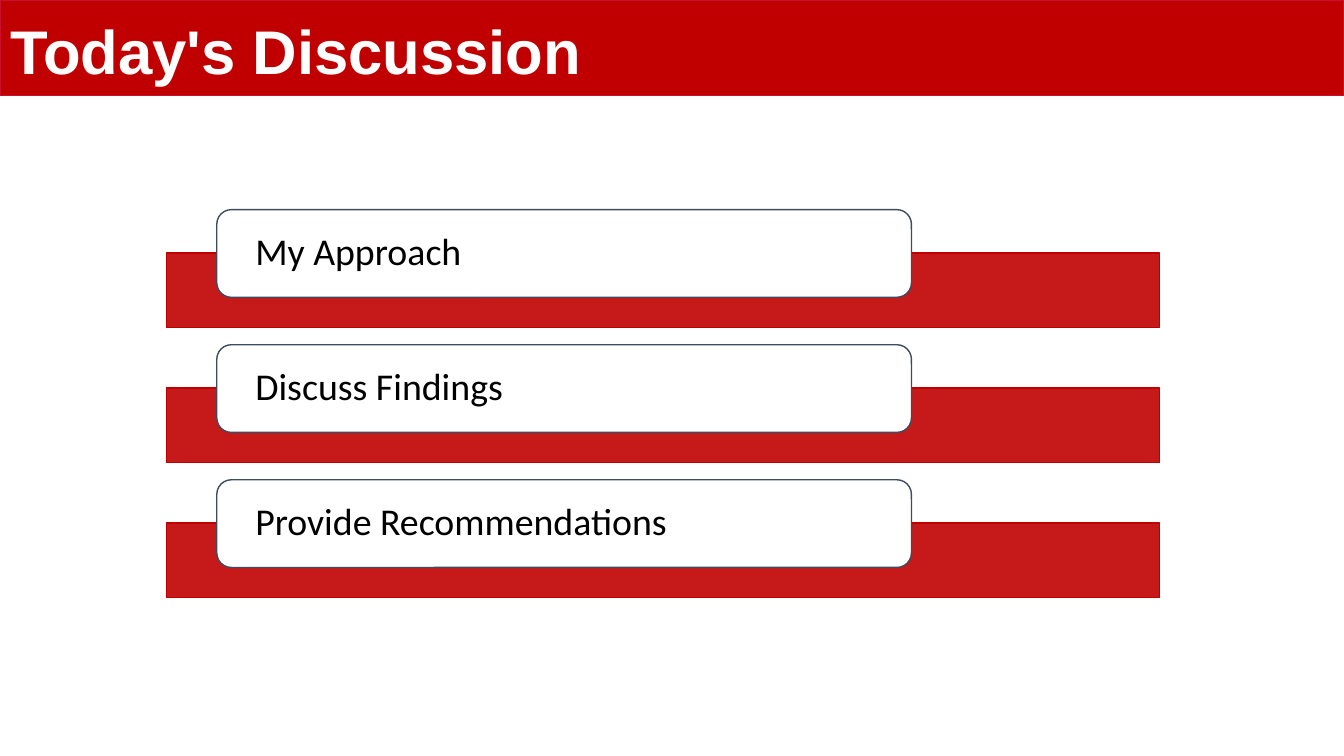
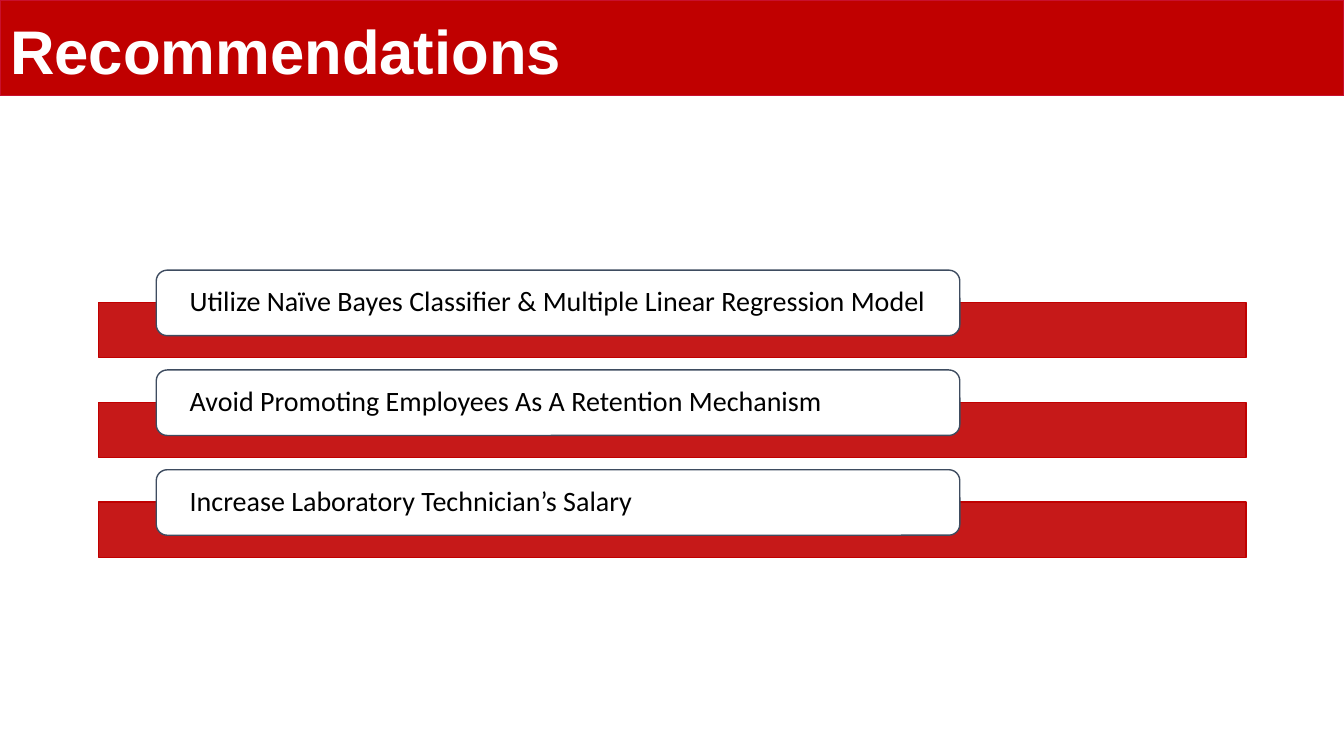
from dataclasses import dataclass

from lxml.etree import SubElement
from pptx import Presentation
from pptx.dml.color import RGBColor
from pptx.enum.shapes import MSO_SHAPE
from pptx.enum.text import MSO_ANCHOR, MSO_AUTO_SIZE, PP_ALIGN
from pptx.oxml.ns import qn
from pptx.util import Inches, Pt

SLIDE_WIDTH, SLIDE_HEIGHT = 13.33, 7.5
TITLE_ONLY = 5


@dataclass(frozen=True)
class Theme:
    red: RGBColor = RGBColor(0xC0, 0x00, 0x00)
    band_edge: RGBColor = RGBColor(0xC8, 0x10, 0x2E)
    slate: RGBColor = RGBColor(0x3E, 0x4C, 0x60)
    white: RGBColor = RGBColor(0xFF, 0xFF, 0xFF)
    black: RGBColor = RGBColor(0x00, 0x00, 0x00)
    heading_font: str = "Arial"
    body_font: str = "Calibri"
    title_size: int = 44
    line_width: int = 1
    track_opacity: int = 90


THEME = Theme()


@dataclass(frozen=True)
class AgendaGrid:
    """Measures, in inches, of a column of cards lying over wide tracks."""
    track_left: float
    track_width: float
    track_height: float
    track_drop: float
    card_left: float
    card_top: float
    card_width: float
    card_height: float
    pitch: float
    text_inset: float
    text_size: int


SLIDES = [
    ("Today's Discussion",
     AgendaGrid(track_left=1.65, track_width=9.85, track_height=0.74,
                track_drop=0.43, card_left=2.15, card_top=2.08,
                card_width=6.89, card_height=0.87, pitch=1.34,
                text_inset=0.34, text_size=27),
     ["My Approach", "Discuss Findings", "Provide Recommendations"]),
    ("Recommendations",
     AgendaGrid(track_left=0.98, track_width=11.38, track_height=0.55,
                track_drop=0.32, card_left=1.55, card_top=2.68,
                card_width=7.97, card_height=0.65, pitch=0.99,
                text_inset=0.3, text_size=20),
     ["Utilize Naïve Bayes Classifier & Multiple Linear Regression Model",
      "Avoid Promoting Employees As A Retention Mechanism",
      "Increase Laboratory Technician’s Salary"]),
]


def apply_format(target, values):
    for name, value in values.items():
        setattr(target, name, value)


def add_block(shapes, preset, box, fill, edge):
    block = shapes.add_shape(preset, *map(Inches, box))
    block.shadow.inherit = False
    block.fill.solid()
    block.fill.fore_color.rgb = fill
    block.line.color.rgb = edge
    block.line.width = Pt(THEME.line_width)
    return block


def set_opacity(block, percent):
    color = block.fill._xPr.find(qn("a:solidFill"))[0]
    SubElement(color, qn("a:alpha"), val=str(percent * 1000))


def write_text(holder, text, color, font_values, frame_values):
    frame = holder.text_frame
    frame.text = text
    apply_format(frame, {"word_wrap": True, "auto_size": MSO_AUTO_SIZE.NONE,
                         "vertical_anchor": MSO_ANCHOR.MIDDLE, **frame_values})
    paragraph = frame.paragraphs[0]
    apply_format(paragraph, {"alignment": PP_ALIGN.LEFT, "line_spacing": 0.9})
    apply_format(paragraph.font, font_values)
    paragraph.font.color.rgb = color


def add_title(slide, text):
    band = add_block(slide.shapes, MSO_SHAPE.RECTANGLE,
                     (0, 0, SLIDE_WIDTH, 0.95), THEME.red, THEME.band_edge)
    title = slide.shapes.title
    title._element.addprevious(band._element)
    apply_format(title, {"left": Inches(0), "top": Inches(0.09),
                         "width": Inches(11.5), "height": Inches(0.9)})
    write_text(title, text, THEME.white,
               {"name": THEME.heading_font, "size": Pt(THEME.title_size),
                "bold": True}, {})


def add_agenda(slide, grid, entries):
    group = slide.shapes.add_group_shape()
    for row, entry in enumerate(entries):
        top = grid.card_top + row * grid.pitch
        track = add_block(group.shapes, MSO_SHAPE.RECTANGLE,
                          (grid.track_left, top + grid.track_drop,
                           grid.track_width, grid.track_height),
                          THEME.red, THEME.red)
        set_opacity(track, THEME.track_opacity)
        card = add_block(group.shapes, MSO_SHAPE.ROUNDED_RECTANGLE,
                         (grid.card_left, top,
                          grid.card_width, grid.card_height),
                         THEME.white, THEME.slate)
        write_text(card, entry, THEME.black,
                   {"name": THEME.body_font, "size": Pt(grid.text_size)},
                   {"margin_left": Inches(grid.text_inset),
                    "margin_right": Inches(0),
                    "margin_top": 0, "margin_bottom": 0})


def main():
    deck = Presentation()
    deck.slide_width = Inches(SLIDE_WIDTH)
    deck.slide_height = Inches(SLIDE_HEIGHT)
    for title, grid, entries in SLIDES:
        slide = deck.slides.add_slide(deck.slide_layouts[TITLE_ONLY])
        add_title(slide, title)
        add_agenda(slide, grid, entries)
    deck.save("out.pptx")


if __name__ == "__main__":
    main()
